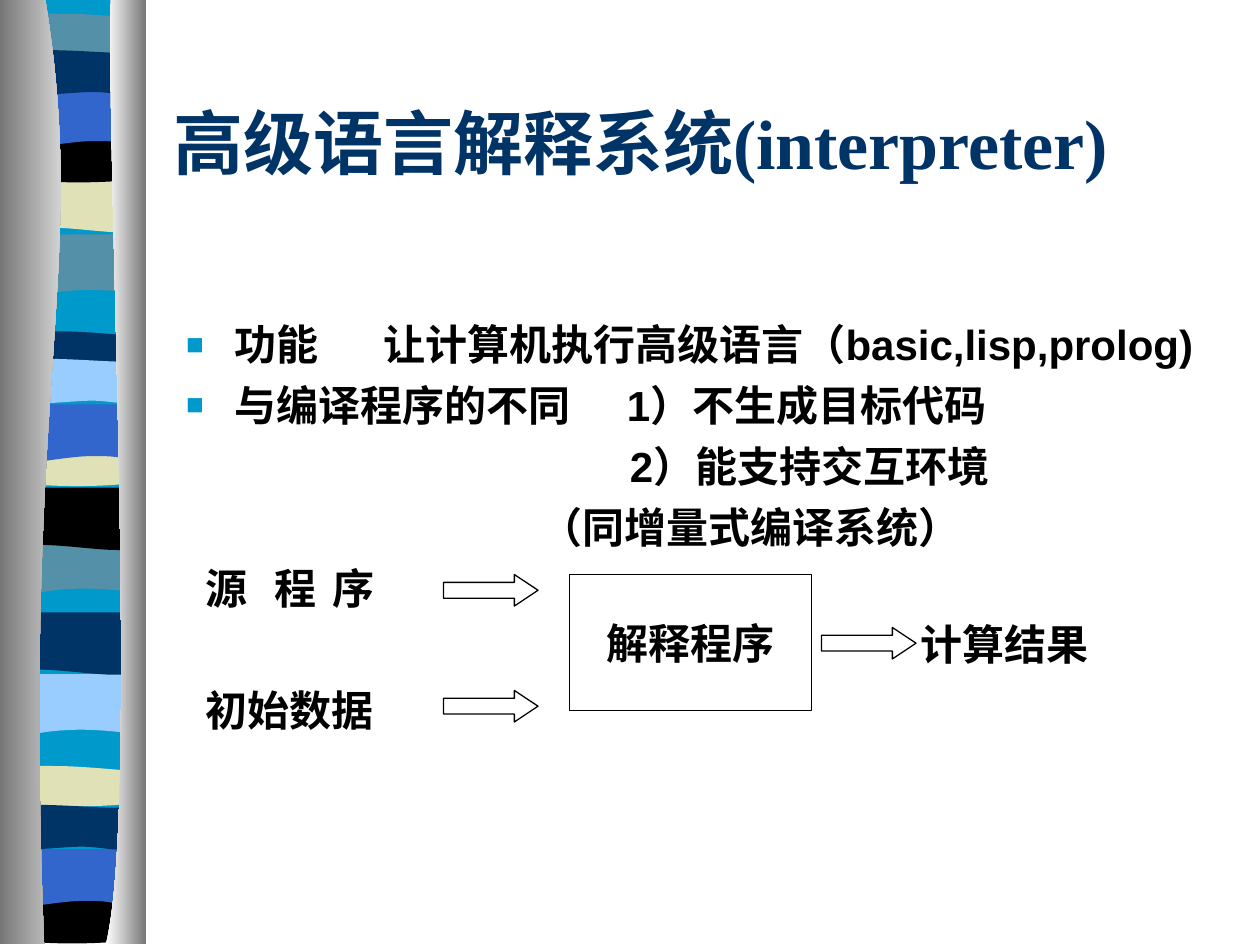
from lxml.etree import SubElement
from pptx import Presentation
from pptx.dml.color import RGBColor
from pptx.enum.shapes import MSO_SHAPE as Preset
from pptx.enum.text import MSO_ANCHOR as Anchor, PP_ALIGN as Align
from pptx.oxml.ns import qn
from pptx.oxml import parse_xml
from pptx.util import Inches, Pt

COLORS = {
    "cyan": "0099CC", "teal": "5490A8", "sand": "E1E1B7", "black": "000000",
    "blue": "3366CC", "navy": "003366", "sky": "99CCFF", "white": "FFFFFF",
    "gray": "767676",
}
COLORS = {name: RGBColor.from_string(value) for name, value in COLORS.items()}
CURVE = '<a:cubicBezTo xmlns:a="http://schemas.openxmlformats.org/drawingml/2006/main"/>'

deck = Presentation()
deck.slide_width, deck.slide_height = Inches(10), Inches(7.5)
page = deck.slides.add_slide(deck.slide_layouts[6])


def add_outline(left, top, steps):
    points = [(Inches(left + x), Inches(top + y))
              for step in steps for x, y in zip(step[::2], step[1::2])]
    builder = page.shapes.build_freeform(*points[0], scale=1.0)
    builder.add_line_segments(points[1:], close=True)
    shape = builder.convert_to_shape()
    lines = iter(list(shape._element.iter(qn("a:lnTo"))))
    for step in steps[1:]:
        parts = [next(lines) for _ in range(len(step) // 2)]
        if len(parts) == 3:
            curve = parse_xml(CURVE)
            parts[0].addprevious(curve)
            for part in parts:
                curve.append(part[0])
                part.getparent().remove(part)
    shape.shadow.inherit = False
    shape.line.fill.background()
    return shape


def style_text(para, font, size, color):
    para.font.name = font
    para.font.size = Pt(size)
    para.font.bold = True
    para.font.color.rgb = COLORS[color]


backing = add_outline(0.14, 0, [(0, 0), (0.98, 0), (0.98, 7.47), (0, 7.47)])
backing.fill.solid()
backing.fill.fore_color.rgb = COLORS["cyan"]

waves = [
    [(0.98, 0), (0.98, 0.47), (0.3, 0.38, 0.17, 0.54, 0, 0.47), (0, 0)],
    [(0.98, 0), (0.98, 0.47), (0.82, 0.55, 0.3, 0.41, 0, 0.47), (0, 0)],
    [(0.98, 0.05), (0.98, 0.3), (0.82, 0.34, 0.16, 0.34, 0, 0.3), (0, 0.05),
     (0.06, 0, 0.21, 0.01, 0.38, 0.01), (0.54, 0.01, 0.86, 0.04, 0.98, 0.05)],
    [(0.98, 0), (0.98, 0.33), (0.82, 0.38, 0.17, 0.38, 0, 0.33), (0, 0),
     (0.61, 0.05, 0.78, 0, 0.98, 0)],
    [(0.98, 0), (0.98, 0.47), (0.83, 0.41, 0.77, 0.41, 0.61, 0.41),
     (0.44, 0.41, 0.15, 0.47, 0, 0.47), (0, 0)],
    [(0.98, 0.05), (0.98, 0.36), (0.92, 0.41, 0.77, 0.36, 0.61, 0.36),
     (0.44, 0.36, 0.1, 0.41, 0, 0.36), (0, 0.05),
     (0.14, 0, 0.67, 0.05, 0.83, 0.05), (1, 0.05, 0.95, 0.05, 0.98, 0.05)],
]
ribbon_groups = [
    [(0.13, 1.86, "teal"), (0.17, 1.35, "sand"), (0.17, 0.1, "teal"),
     (0.13, 1.08, "black"), (0.13, 0.71, "blue"), (0.13, 0.37, "navy")],
    [(0.08, 4.23, "teal"), (0.12, 3.87, "black"), (0.12, 2.62, "navy"),
     (0.12, 3.49, "sand"), (0.12, 3.21, "blue"), (0.12, 2.82, "sky")],
    [(0.05, 5.35, "sky"), (0.1, 4.86, "navy"), (0.08, 6.07, "sand"),
     (0.08, 7.12, "black"), (0.05, 6.74, "blue"), (0.04, 6.36, "navy")],
]
for group in ribbon_groups:
    for (left, top, color), wave in zip(group, waves):
        ribbon = add_outline(left, top, wave)
        ribbon.fill.solid()
        ribbon.fill.fore_color.rgb = COLORS[color]

pillars = [
    ([(0.36, 0), (0.71, 2.16, 0.17, 2.96, 0.35, 7.49), (0, 7.49), (0, 0)], "gray", "white"),
    ([(0.88, 0), (0.84, 1.25, 1.11, 6.46, 0.84, 7.49), (1.16, 7.49), (1.16, 0)], "white", "gray"),
]
for steps, first, last in pillars:
    pillar = add_outline(0, 0, steps)
    pillar.fill.gradient()
    pillar.fill.gradient_angle = 0
    for stop, color in zip(pillar.fill.gradient_stops, (first, last)):
        stop.color.rgb = COLORS[color]

title = page.shapes.add_textbox(Inches(1.28), Inches(0.5), Inches(8.5), Inches(1.25))
title.text_frame.word_wrap = True
title.text_frame.vertical_anchor = Anchor.MIDDLE
title.text_frame.text = "高级语言解释系统(interpreter)"
style_text(title.text_frame.paragraphs[0], "Times New Roman", 40, "navy")

body = page.shapes.add_textbox(Inches(1.38), Inches(2.48), Inches(8.5), Inches(4.5))
body.text_frame.word_wrap = True
rows = [
    (["功能", "让计算机执行高级语言（basic,lisp,prolog)"], [32], 0.38, True, 0),
    (["与编译程序的不同", "1）不生成目标代码"], [27], 0.38, True, 6),
    (["2）能支持交互环境"], [], 3.52, False, 6),
    (["（同增量式编译系统）"], [], 2.81, False, 6),
    (["源", "程", "序"], [10, 4], 0.15, False, 6),
    (["初始数据"], [], 0.15, False, 41),
]
for index, (parts, gaps, indent, bulleted, before) in enumerate(rows):
    para = body.text_frame.paragraphs[0] if index == 0 else body.text_frame.add_paragraph()
    para.space_before = Pt(before)
    props = para._p.get_or_add_pPr()
    props.set("marL", str(Inches(indent)))
    props.set("indent", str(-Inches(indent) if bulleted else 0))
    if bulleted:
        tint = SubElement(props, qn("a:buClr"))
        SubElement(tint, qn("a:srgbClr"), val=str(COLORS["cyan"]))
        SubElement(props, qn("a:buSzPct"), val="70000")
        SubElement(props, qn("a:buFont"), typeface="Arial")
        SubElement(props, qn("a:buChar"), char="■")
    style_text(para, "Arial", 24, "black")
    for position, part in enumerate(parts):
        if position:
            gap = para.add_run()
            gap.text = " "
            gap._r.get_or_add_rPr().set("spc", str(gaps[position - 1] * 100))
        span = para.add_run()
        span.text = part

boxes = [
    ("解释程序", 4.52, 4.56, 1.92, 1.08, "black"),
    ("计算结果", 7.35, 4.9, 1.25, 0.42, "white"),
]
for label, left, top, width, height, border in boxes:
    box = page.shapes.add_shape(Preset.RECTANGLE, Inches(left), Inches(top),
                                Inches(width), Inches(height))
    box.shadow.inherit = False
    box.fill.solid()
    box.fill.fore_color.rgb = COLORS["white"]
    box.line.color.rgb = COLORS[border]
    box.line.width = Pt(0.75)
    box.text_frame.word_wrap = False
    box.text_frame.vertical_anchor = Anchor.MIDDLE
    box.text_frame.text = label
    para = box.text_frame.paragraphs[0]
    para.alignment = Align.CENTER
    style_text(para, "Times New Roman", 24, "black")

for left, top in [(3.52, 4.56), (3.52, 5.48), (6.52, 4.98)]:
    arrow = page.shapes.add_shape(Preset.RIGHT_ARROW, Inches(left), Inches(top),
                                  Inches(0.75), Inches(0.25))
    arrow.shadow.inherit = False
    arrow.adjustments[0] = 0.5
    arrow.adjustments[1] = 0.75
    arrow.fill.solid()
    arrow.fill.fore_color.rgb = COLORS["white"]
    arrow.line.color.rgb = COLORS["black"]
    arrow.line.width = Pt(0.75)

deck.save("out.pptx")
